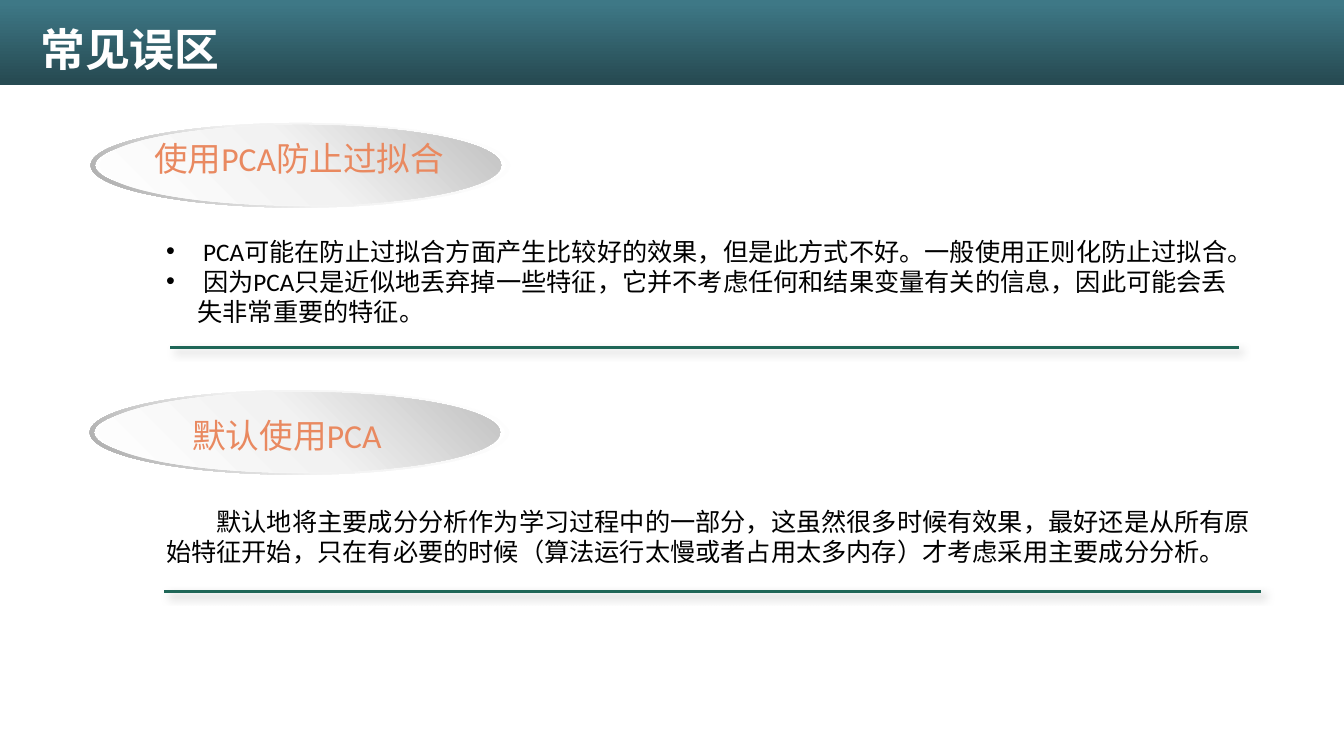
from lxml import etree
from pptx import Presentation
from pptx import util as u
from pptx.dml.color import RGBColor
from pptx.enum import shapes, text
from pptx.oxml import parse_xml
from pptx.oxml.ns import nsdecls, qn

W, H = 13.33, 7.5
FONT = "Calibri"
WHITE, BLACK, ORANGE, GREEN = "FFFFFF", "000000", "E98960", "1F6657"
RING = [(0, WHITE), (55, "F2F2F2"), (100, "A6A6A6")]
FACE = [(0, WHITE), (51, "F2F2F2"), (100, "BFBFBF")]
BAND = [(4, "3E7886"), (96, "274B53")]


def color(hex_string):
    return RGBColor.from_string(hex_string)


def box(*lengths):
    return [u.Inches(n) for n in lengths]


def add_gradient_shape(parent, kind, bounds, stops, angle):
    """Add a borderless shape; the angle runs clockwise from left to right."""
    sp = parent.add_shape(kind, *box(*bounds))
    sp.shadow.inherit = False
    sp.line.fill.background()
    sp.fill.background()
    gs = "".join(f'<a:gs pos="{pos * 1000}"><a:srgbClr val="{c}"/></a:gs>'
                 for pos, c in stops)
    grad = parse_xml(f'<a:gradFill {nsdecls("a")} rotWithShape="1"><a:gsLst>{gs}'
                     f'</a:gsLst><a:lin ang="{angle * 60000}" scaled="0"/></a:gradFill>')
    sp_pr = sp._element.spPr
    sp_pr.replace(sp_pr.find(qn("a:noFill")), grad)
    return sp


def set_font(p, size, hex_string, bold=False):
    p.font.name, p.font.size, p.font.bold = FONT, u.Pt(size), bold
    p.font.color.rgb = color(hex_string)


def add_text(parent, bounds, lines, size, hex_string):
    tf = parent.add_textbox(*box(*bounds)).text_frame
    tf.word_wrap = True
    tf.text = "\n".join(lines)
    for p in tf.paragraphs:
        set_font(p, size, hex_string)
    return tf


def indent(p, margin, first):
    p_pr = p._p.get_or_add_pPr()
    p_pr.set("marL", str(u.Inches(margin)))
    p_pr.set("indent", str(u.Inches(first)))
    return p_pr


def add_bullet(p):
    p_pr = indent(p, 0.31, -0.31)
    # The bullet elements belong ahead of the default run properties
    p_pr.insert(0, parse_xml(f'<a:buFont {nsdecls("a")} typeface="Arial"/>'))
    p_pr.insert(1, parse_xml(f'<a:buChar {nsdecls("a")} char="•"/>'))


def add_header(s, title, height):
    add_gradient_shape(s.shapes, shapes.MSO_SHAPE.RECTANGLE, (0, 0, W, height), BAND, 90)
    sp = s.shapes.title
    s.shapes._spTree.append(sp._element)  # bring the title in front of the band
    sp.left, sp.top, sp.width, sp.height = box(0.3, 0.17, 5.12, 0.64)
    tf = sp.text_frame
    tf.text = title
    tf.vertical_anchor = text.MSO_ANCHOR.TOP
    tf.auto_size = text.MSO_AUTO_SIZE.NONE
    p = tf.paragraphs[0]
    p.alignment = text.PP_ALIGN.LEFT
    set_font(p, 32, WHITE, bold=True)


def add_badge(s, left, top, label, dx, dy):
    """Ringed oval with a label offset by dx, dy from its corner."""
    parts = s.shapes.add_group_shape().shapes
    ring = add_gradient_shape(parts, shapes.MSO_SHAPE.DONUT, (left, top, 4.16, 0.84), RING, 135)
    ring.adjustments[0] = 0.049
    add_gradient_shape(parts, shapes.MSO_SHAPE.OVAL,
                       (left + 0.09, top + 0.02, 3.98, 0.8), FACE, 315)
    add_text(parts, (left + dx, top + dy, 3.52, 0.5), [label], 24, ORANGE)


def add_rule(s, left, right, y):
    line = s.shapes.add_connector(shapes.MSO_CONNECTOR.STRAIGHT, *box(left, y, right, y))
    line.line.color.rgb = color(GREEN)
    line.line.width = u.Pt(2)
    effects = etree.SubElement(line._element.spPr, qn("a:effectLst"))
    effects.append(parse_xml(
        f'<a:outerShdw {nsdecls("a")} blurRad="{u.Pt(6)}" dist="{u.Pt(4)}" dir="2700000" '
        f'algn="tl" rotWithShape="0"><a:srgbClr val="{BLACK}"><a:alpha val="27000"/>'
        f'</a:srgbClr></a:outerShdw>'))


def add_section(s, left, top, badge, body, lines, rule):
    """Badge, body text and closing rule; offsets start at left, top."""
    add_badge(s, left, top, *badge)
    dx, dy, width, height = body
    tf = add_text(s.shapes, (left + dx, top + dy, width, height), lines, 18, BLACK)
    x1, x2, y = rule
    add_rule(s, left + x1, left + x2, top + y)
    return tf.paragraphs


def main():
    prs = Presentation()
    prs.slide_width, prs.slide_height = box(W, H)
    s = prs.slides.add_slide(prs.slide_layouts[5])
    add_header(s, "常见误区", 0.84)

    # Using PCA against overfitting
    for p in add_section(
            s, 0.9, 1.22, ("使用PCA防止过拟合", 0.53, 0.1), (0.65, 1.07, 10.81, 1.01),
            [" PCA可能在防止过拟合方面产生比较好的效果，但是此方式不好。一般使用正则化防止过拟合。",
             " 因为PCA只是近似地丢弃掉一些特征，它并不考虑任何和结果变量有关的信息，"
             "因此可能会丢失非常重要的特征。"],
            (0.79, 11.39, 2.23)):
        add_bullet(p)

    # Using PCA by default
    for p in add_section(
            s, 0.89, 3.87, ("默认使用PCA", 0.92, 0.2), (0.66, 1.1, 11.07, 0.71),
            ["默认地将主要成分分析作为学习过程中的一部分，这虽然很多时候有效果，"
             "最好还是从所有原始特征开始，只在有必要的时候（算法运行太慢或者占用太多内存）"
             "才考虑采用主要成分分析。"],
            (0.74, 11.62, 2)):
        indent(p, 0, 0.5)

    prs.save("out.pptx")


if __name__ == "__main__":
    main()
